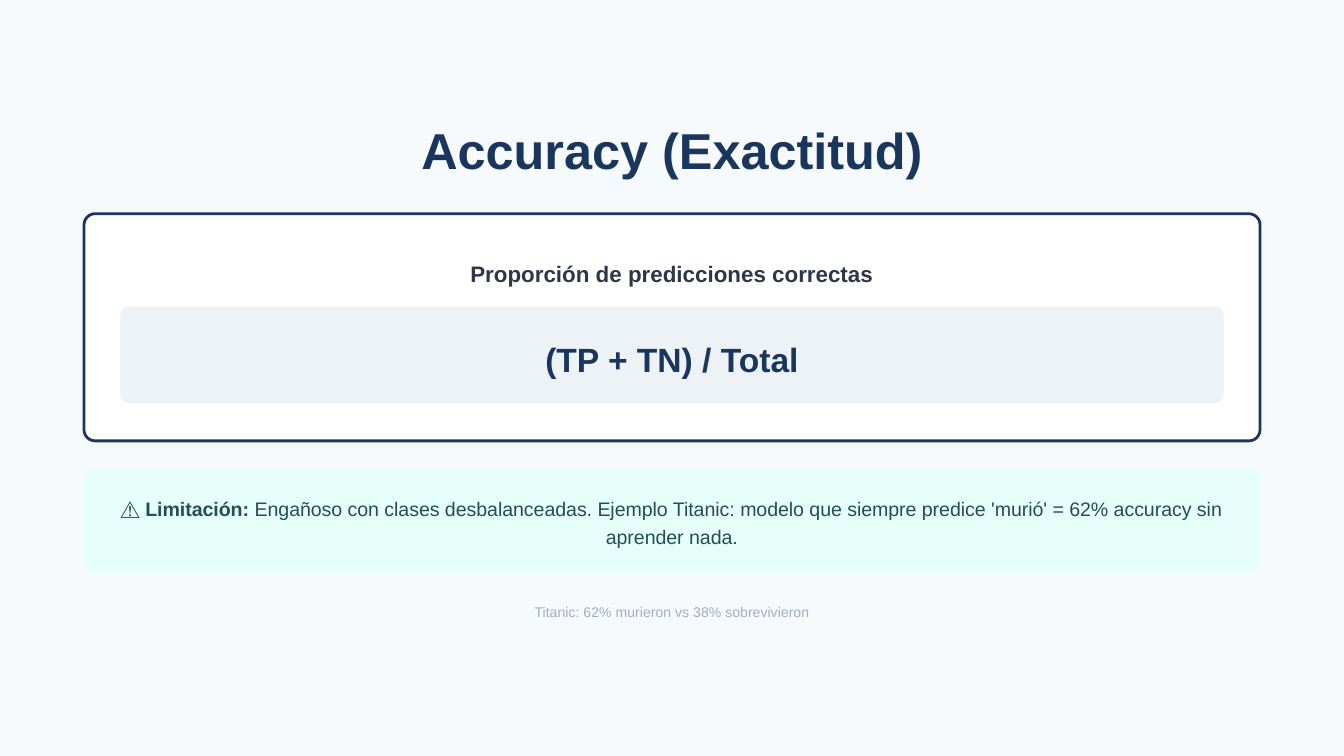
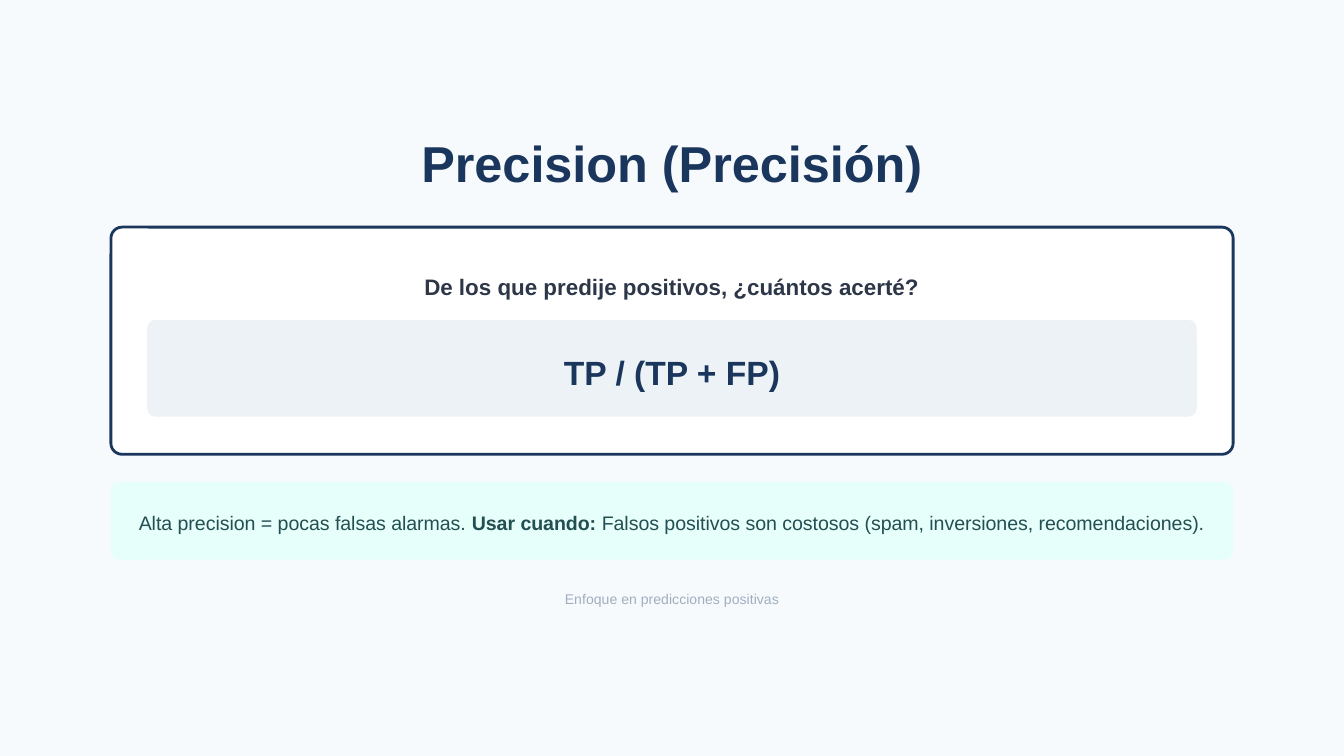
from pptx import Presentation
from pptx import util as u
from pptx.dml.color import RGBColor
from pptx.enum import shapes, text

NAVY = RGBColor(0x1A, 0x36, 0x5D)
SLATE = RGBColor(0x2D, 0x37, 0x48)
TEAL = RGBColor(0x23, 0x4E, 0x52)
MUTED = RGBColor(0xA0, 0xAE, 0xC0)
PAGE = RGBColor(0xF7, 0xFA, 0xFC)
WHITE = RGBColor(0xFF, 0xFF, 0xFF)
FORMULA_FILL = RGBColor(0xED, 0xF2, 0xF7)
NOTE_FILL = RGBColor(0xE6, 0xFF, 0xFA)
FONT = "Arial"

# Square grid: 100 columns across, 56.25 rows down
WIDTH, HEIGHT = u.Inches(10), u.Inches(5.625)
CELL = WIDTH / 100


def cells(count):
    return u.Emu(round(count * CELL))


def write(frame, runs, *, size, color, leading, bold=False, after=0):
    """Fill a frame with one centred paragraph of (words, bold) runs or a plain string."""
    frame.word_wrap = True
    frame.margin_left = frame.margin_right = 0
    frame.margin_top = frame.margin_bottom = 0
    paragraph = frame.paragraphs[0]
    paragraph.alignment = text.PP_ALIGN.CENTER
    paragraph.line_spacing = u.Pt(leading)
    paragraph.space_after = u.Pt(after)
    if isinstance(runs, str):
        runs = [(runs, bold)]
    for words, is_bold in runs:
        run = paragraph.add_run()
        run.text = words
        run.font.name = FONT
        run.font.size = u.Pt(size)
        run.font.bold = is_bold
        run.font.color.rgb = color


class MetricDeck:
    """Every element is centred across the page, so it needs only top, width and height."""

    def __init__(self):
        self.deck = Presentation()
        self.deck.slide_width, self.deck.slide_height = WIDTH, HEIGHT
        self.slide = None

    def new_slide(self):
        self.slide = self.deck.slides.add_slide(self.deck.slide_layouts[6])
        background = self.slide.background.fill
        background.solid()
        background.fore_color.rgb = PAGE

    def place(self, top, width, height):
        return [cells(n) for n in ((100 - width) / 2, top, width, height)]

    def label(self, runs, top, width, height, **style):
        box = self.slide.shapes.add_textbox(*self.place(top, width, height))
        write(box.text_frame, runs, **style)

    def panel(self, top, width, height, radius, fill, outline=None):
        panel = self.slide.shapes.add_shape(
            shapes.MSO_SHAPE.ROUNDED_RECTANGLE, *self.place(top, width, height))
        panel.adjustments[0] = radius / height
        panel.shadow.inherit = False
        panel.fill.solid()
        panel.fill.fore_color.rgb = fill
        if outline is None:
            panel.line.fill.background()
        else:
            panel.line.color.rgb = outline
            panel.line.width = u.Pt(1.5)

    def metric(self, title, question, formula, note, footer, *,
               title_width, card_width, note_lines):
        """Stack title, formula card, note and footer; a longer note lifts the stack."""
        self.new_slide()
        top = 11.6 - note_lines
        note_height = 3.8 + 2 * note_lines
        note_top = top + 25.25

        self.label(title, top, title_width, 3.8,
                   size=27, color=NAVY, leading=27, bold=True, after=18)
        self.panel(top + 6.3, card_width, 16.9, 0.83, WHITE, NAVY)
        self.label(question, top + 9.4, card_width - 3.8, 2.3,
                   size=12, color=SLATE, leading=16.8, bold=True, after=10.5)
        self.panel(top + 13.2, card_width - 5.4, 7.2, 0.62, FORMULA_FILL)
        self.label(formula, top + 15.1, card_width - 7.6, 3.5,
                   size=18, color=NAVY, leading=25.2, bold=True)
        self.panel(note_top, card_width, note_height, 0.62, NOTE_FILL)
        self.label(note, note_top + 1.85, card_width - 2.1, 2.04 * note_lines,
                   size=10.5, color=TEAL, leading=14.7)
        self.label(footer, note_top + note_height + 2.05, card_width + 1.8, 1.5,
                   size=7.5, color=MUTED, leading=10.5, after=3)


def main():
    metrics = MetricDeck()
    metrics.metric(
        "Accuracy (Exactitud)",
        "Proporción de predicciones correctas",
        "(TP + TN) / Total",
        [("⚠️ ", False), ("Limitación:", True),
         (" Engañoso con clases desbalanceadas. Ejemplo Titanic: modelo que siempre "
          "predice 'murió' = 62% accuracy sin aprender nada.", False)],
        "Titanic: 62% murieron vs 38% sobrevivieron",
        title_width=44.7, card_width=87.5, note_lines=2)
    metrics.metric(
        "Precision (Precisión)",
        "De los que predije positivos, ¿cuántos acerté?",
        "TP / (TP + FP)",
        [("Alta precision = pocas falsas alarmas. ", False), ("Usar cuando:", True),
         (" Falsos positivos son costosos (spam, inversiones, recomendaciones).", False)],
        "Enfoque en predicciones positivas",
        title_width=42.7, card_width=83.5, note_lines=1)
    metrics.deck.save("out.pptx")


if __name__ == "__main__":
    main()
